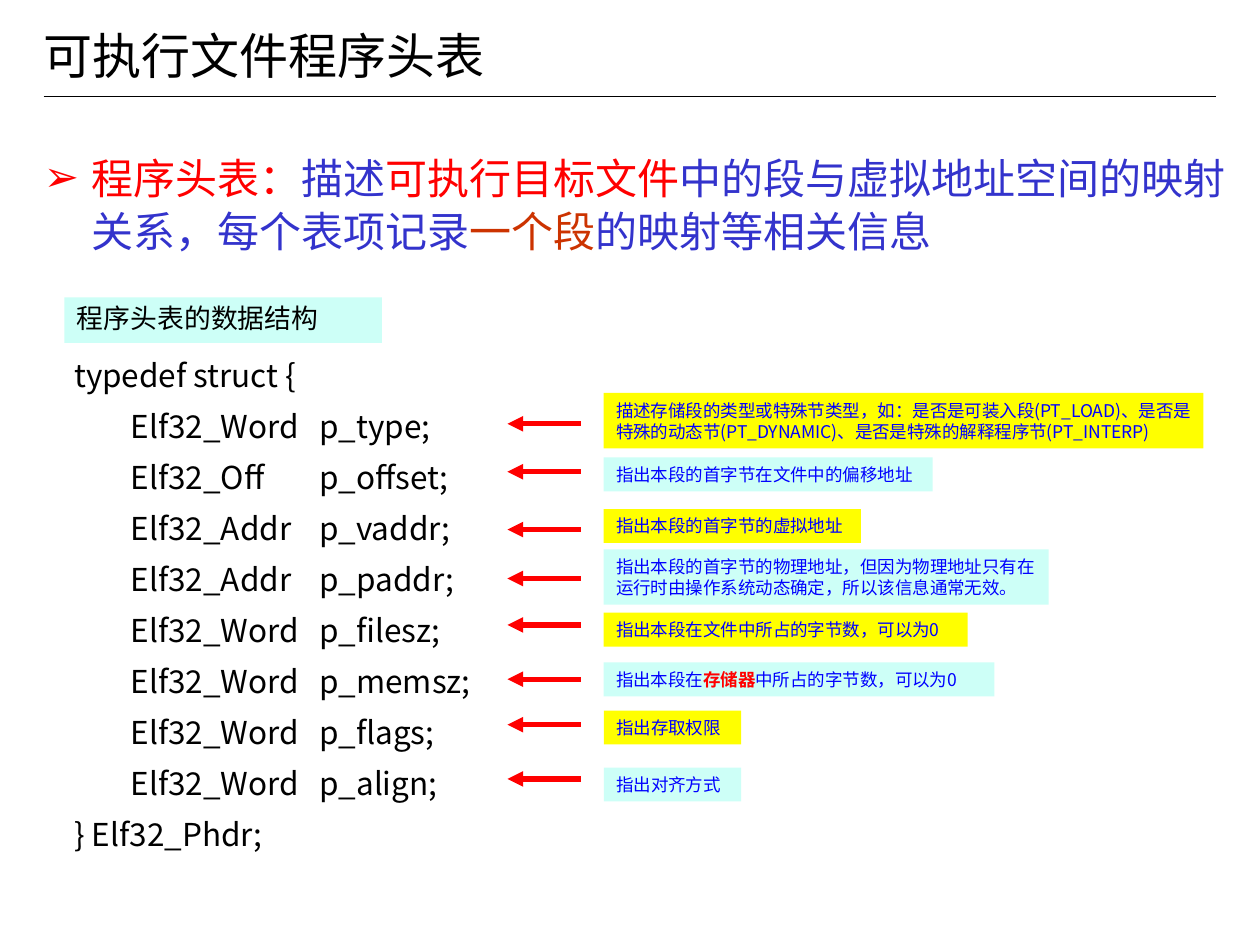
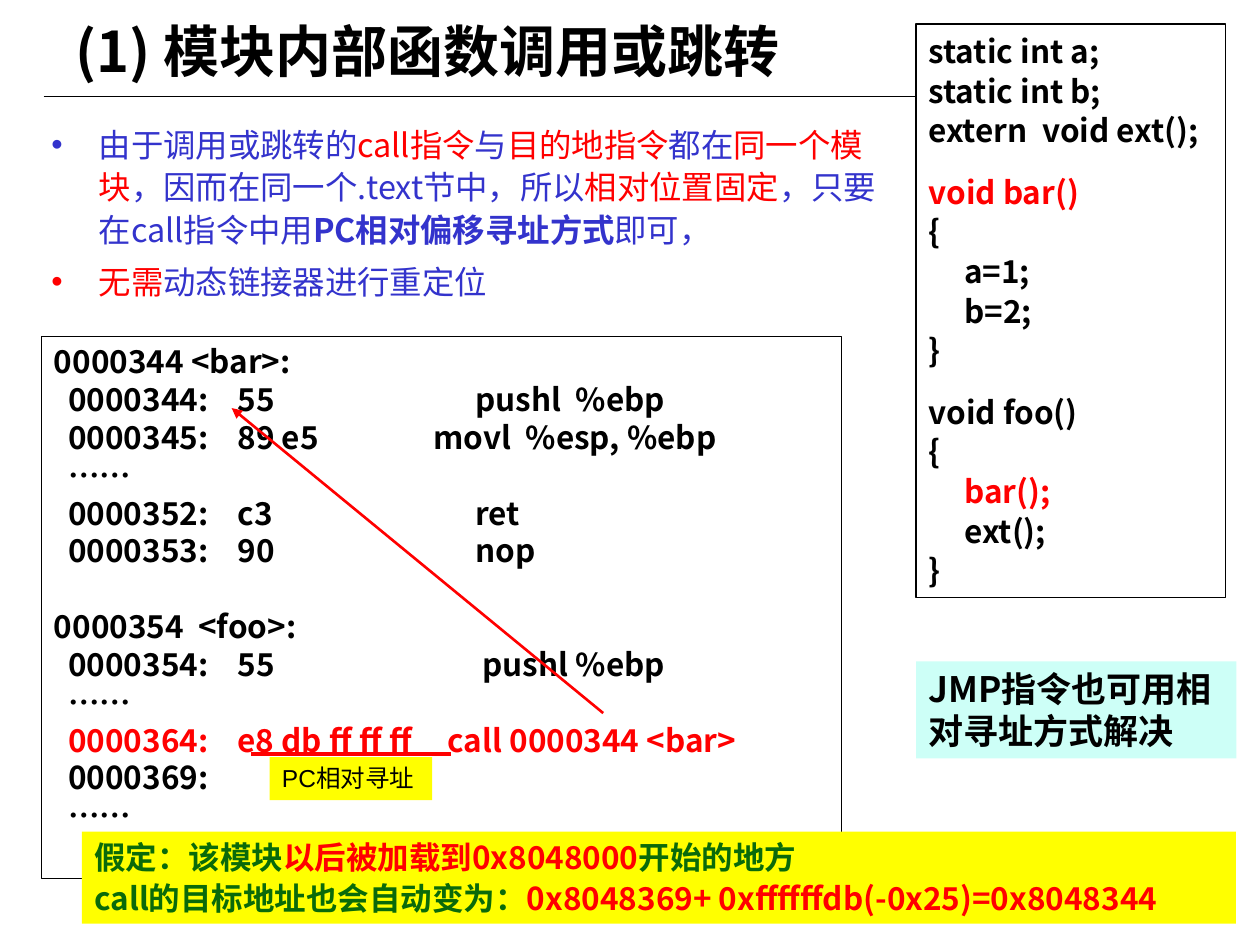
"""Build two slides about ELF program headers and calls inside a module."""
from dataclasses import dataclass

from lxml import etree
from pptx import Presentation
from pptx.dml.color import RGBColor
from pptx.enum.shapes import MSO_CONNECTOR, MSO_SHAPE
from pptx.enum.text import MSO_ANCHOR, PP_ALIGN
from pptx.oxml.ns import qn
from pptx.util import Pt

RECTANGLE = MSO_SHAPE.RECTANGLE
STRAIGHT = MSO_CONNECTOR.STRAIGHT
TOP, MIDDLE = MSO_ANCHOR.TOP, MSO_ANCHOR.MIDDLE
LEFT = PP_ALIGN.LEFT


@dataclass(frozen=True)
class Theme:
    """Colours, fonts and type sizes of the slides."""
    font: str = "Noto Sans CJK SC"
    label_font: str = "Arial"
    black: str = "000000"
    white: str = "FFFFFF"
    red: str = "FF0000"
    rust: str = "CC3300"
    indigo: str = "3333CC"
    blue: str = "0000FF"
    green: str = "0A6A0A"
    yellow: str = "FFFF00"
    mint: str = "CDFFF7"
    title: float = 28
    big_title: float = 32
    lead: float = 24
    remark: float = 20
    bullet: float = 18.5
    code: float = 18
    caption: float = 15.3
    label: float = 14
    note: float = 10


THEME = Theme()

LEAD = [
    ("程序头表：", THEME.red), "描述", ("可执行目标文件", THEME.red),
    "中的段与虚拟地址空间的映射关系，每个表项记录", ("一个段", THEME.rust),
    "的映射等相关信息",
]
STRUCT_LINES = [
    "typedef struct {",
    "        Elf32_Word\tp_type;",
    "        Elf32_Off\tp_offset;",
    "        Elf32_Addr\tp_vaddr;",
    "        Elf32_Addr\tp_paddr;",
    "        Elf32_Word\tp_filesz;",
    "        Elf32_Word\tp_memsz;",
    "        Elf32_Word\tp_flags;",
    "        Elf32_Word\tp_align;",
    "} Elf32_Phdr;",
]
# Each note: top, width, height, arrow level, text.
FIELD_NOTES = [
    (0, 342.7, 31.7, 17.6,
     "描述存储段的类型或特殊节类型，如：是否是可装入段(PT_LOAD)、是否是特殊的动态节"
     "(PT_DYNAMIC)、是否是特殊的解释程序节(PT_INTERP)"),
    (36.8, 188, 19.4, 45, "指出本段的首字节在文件中的偏移地址"),
    (66.3, 147, 19.4, 78, "指出本段的首字节的虚拟地址"),
    (89.3, 254.2, 31.7, 106, "指出本段的首字节的物理地址，但因为物理地址只有在运行时由操作系统动态确定，所以该信息通常无效。"),
    (125.5, 208, 19.4, 132.5, "指出本段在文件中所占的字节数，可以为0"),
    (154, 223.2, 19.4, 163.5,
     ["指出本段在", ("存储器", THEME.red, True), "中所占的字节数，可以为0"]),
    (181.5, 78.5, 19.4, 189.5, "指出存取权限"),
    (214, 78.5, 19.4, 220.5, "指出对齐方式"),
]
CALL_POINTS = [
    ["由于调用或跳转的", ("call指令", THEME.red), "与", ("目的地指令", THEME.red),
     "都在", ("同一个模块", THEME.red), "，因而在同一个.text节中，所以",
     ("相对位置固定", THEME.red), "，只要在call指令中用",
     ("PC相对偏移寻址方式", THEME.indigo, True), "即可，"],
    [("无需", THEME.red), "动态链接器进行重定位"],
]
SOURCE_LINES = [
    "static int a;", "static int b;", "extern  void ext();",
    [("void bar()", THEME.red)], "{", "     a=1;", "     b=2;", "}",
    "void foo()", "{", [("     bar();", THEME.red)], "     ext();", "}",
]
# Each line of assembly: text and the tab stop of its mnemonic.
ASSEMBLY = [
    ("0000344 <bar>:", 241),
    ("  0000344:\t55\tpushl  %ebp", 241),
    ("  0000345:\t89 e5\tmovl  %esp, %ebp", 217),
    ("  ……", 241),
    ("  0000352:\tc3\tret", 241),
    ("  0000353:\t90\tnop", 241),
    ("0000354  <foo>:", 241),
    ("  0000354:\t55\tpushl %ebp", 245),
    ("  ……", 241),
    ([("  0000364:\te8 db ff ff ff\tcall 0000344 <bar>", THEME.red)], 225),
    ("  0000369:", 241),
    ("  ……", 241),
]
ASSUMPTION = [
    ["假定：该模块", ("以后被加载到0x8048000", THEME.red), "开始的地方"],
    ["call的目标地址也会自动变为：",
     ("0x8048369+ 0xffffffdb(-0x25)=0x8048344", THEME.red)],
]


def rgb(color):
    """Turn a hex string into a colour."""
    return RGBColor.from_string(color)


def add_box(slide, box, fill=None, line=None):
    """Add a plain rectangle with an optional fill and outline."""
    shape = slide.shapes.add_shape(RECTANGLE, *map(Pt, box))
    shape.shadow.inherit = False
    if fill:
        shape.fill.solid()
        shape.fill.fore_color.rgb = rgb(fill)
    else:
        shape.fill.background()
    if line:
        shape.line.color.rgb = rgb(line)
        shape.line.width = Pt(0.75)
    else:
        shape.line.fill.background()
    return shape


def add_line(slide, start, end, color, width, arrow=False):
    """Add a straight line, with an arrowhead at its end if wanted."""
    line = slide.shapes.add_connector(STRAIGHT, *map(Pt, (*start, *end)))
    line.line.color.rgb = rgb(color)
    line.line.width = Pt(width)
    if arrow:
        etree.SubElement(line.line._get_or_add_ln(), qn("a:tailEnd"), type="triangle")
    etree.SubElement(line._element.spPr, qn("a:effectLst"))


def add_bullet(paragraph, character, color):
    """Give a paragraph a hanging bullet."""
    properties = paragraph._p.get_or_add_pPr()
    properties.set("marL", str(Pt(27)))
    properties.set("indent", str(-Pt(27)))
    bullet_color = etree.SubElement(properties, qn("a:buClr"))
    etree.SubElement(bullet_color, qn("a:srgbClr"), val=color)
    etree.SubElement(properties, qn("a:buFont"), typeface=THEME.label_font)
    etree.SubElement(properties, qn("a:buChar"), char=character)


def add_tabs(paragraph, stops):
    """Give a paragraph left tab stops."""
    tab_list = etree.SubElement(paragraph._p.get_or_add_pPr(), qn("a:tabLst"))
    for stop in stops:
        etree.SubElement(tab_list, qn("a:tab"), pos=str(Pt(stop)), algn="l")


def add_run(paragraph, text, size, color, bold, font):
    """Add one formatted run to a paragraph."""
    run = paragraph.add_run()
    run.text = text
    run.font.size = Pt(size)
    run.font.bold = bold
    run.font.color.rgb = rgb(color)
    run.font.name = font
    etree.SubElement(run._r.get_or_add_rPr(), qn("a:ea"), typeface=THEME.font)


def write_text(shape, paragraphs, size, color=THEME.black, bold=False, anchor=TOP,
               spacing=1.0, gaps=None, bullet=None, tabs=None, font=THEME.font, wrap=True):
    """Write paragraphs made of strings or of (text, colour, bold) segments."""
    frame = shape.text_frame
    frame.word_wrap = wrap
    frame.vertical_anchor = anchor
    frame.margin_left = frame.margin_right = Pt(7.2)
    frame.margin_top = frame.margin_bottom = Pt(3.6)
    for index, content in enumerate(paragraphs):
        paragraph = frame.add_paragraph() if index else frame.paragraphs[0]
        paragraph.alignment = LEFT
        paragraph.line_spacing = spacing
        paragraph.space_before = Pt((gaps or {}).get(index, 0))
        segments = [content] if isinstance(content, str) else content
        segments = [(part,) if isinstance(part, str) else part for part in segments]
        if bullet:
            first_color = segments[0][1] if len(segments[0]) > 1 else color
            add_bullet(paragraph, bullet, first_color)
        if tabs:
            add_tabs(paragraph, tabs[index])
        for segment in segments:
            text, run_color, run_bold = (*segment, *(color, bold)[len(segment) - 1:])
            add_run(paragraph, text, size, run_color, run_bold, font)


def add_title(slide, box, text, size, bold=False):
    """Add the title and the rule under it."""
    add_line(slide, (25, 55), (695, 55), THEME.black, 0.75)
    title = slide.shapes.add_textbox(*map(Pt, box))
    write_text(title, [text], size, bold=bold, anchor=MIDDLE)


def add_struct(slide, box):
    """Add the captioned program header structure."""
    left, top, width, height = box
    code = slide.shapes.add_textbox(*map(Pt, (left, top + 22.2, width, height - 22.2)))
    write_text(code, STRUCT_LINES, THEME.code, anchor=MIDDLE, spacing=1.35,
               tabs=[[140]] * len(STRUCT_LINES))
    caption = add_box(slide, (left + 1.5, top, 181.5, 26), THEME.mint)
    write_text(caption, ["程序头表的数据结构"], THEME.caption, anchor=MIDDLE, spacing=0.9)


def add_field_notes(slide, box):
    """Add a note with an arrow for each field of the structure."""
    left, top, width, height = box
    for index, (offset, note_width, note_height, level, text) in enumerate(FIELD_NOTES):
        fill = THEME.mint if index % 2 else THEME.yellow
        note = add_box(slide, (left + 55, top + offset, note_width, note_height), fill)
        write_text(note, [text], THEME.note, THEME.blue, anchor=MIDDLE)
        add_line(slide, (left + 42, top + level), (left, top + level),
                 THEME.red, 3, arrow=True)


def add_assembly(slide, box):
    """Add the disassembly with its marked call offset and jump arrow."""
    left, top, width, height = box
    listing = add_box(slide, box, line=THEME.black)
    write_text(listing, [text for text, stop in ASSEMBLY], THEME.code, bold=True,
               gaps={6: 21.7}, tabs=[(105, stop) for text, stop in ASSEMBLY])
    add_line(slide, (left + 119.5, top + 238.5), (left + 234, top + 238.5),
             THEME.red, 2.25)
    label = add_box(slide, (left + 130.3, top + 240.5, 93, 24.5), THEME.yellow)
    write_text(label, ["PC相对寻址"], THEME.label, font=THEME.label_font, wrap=False)
    add_line(slide, (left + 321, top + 215.3), (left + 108.7, top + 41),
             THEME.red, 1.5, arrow=True)


def build_header_table_slide(slide):
    """Fill the slide on the program header table."""
    add_title(slide, (18, 9.4, 648, 44), "可执行文件程序头表", THEME.title)
    lead = add_box(slide, (18, 82, 702, 67.7), THEME.white)
    write_text(lead, [LEAD], THEME.lead, THEME.indigo, anchor=MIDDLE, spacing=1.05,
               bullet="➢")
    add_struct(slide, (35.3, 170, 246.2, 321))
    add_field_notes(slide, (290, 224.6, 398, 234))


def build_call_slide(slide):
    """Fill the slide on calls and jumps inside a module."""
    add_title(slide, (36, 6.5, 648, 44), "(1) 模块内部函数调用或跳转", THEME.big_title, True)
    points = slide.shapes.add_textbox(*map(Pt, (22.3, 65.5, 493.2, 121.7)))
    write_text(points, CALL_POINTS, THEME.bullet, THEME.indigo, spacing=1.1,
               gaps={1: 5}, bullet="•")
    source = add_box(slide, (523.5, 13.7, 177, 327.6), THEME.white, THEME.black)
    write_text(source, SOURCE_LINES, THEME.code, bold=True, spacing=1.05,
               gaps={3: 12.3, 8: 12.3})
    add_assembly(slide, (23.7, 192.2, 457.2, 310))
    banner = add_box(slide, (46.8, 475.2, 659.5, 52.6), THEME.yellow)
    write_text(banner, ASSUMPTION, THEME.code, THEME.green, True, gaps={1: 2.2})
    remark = add_box(slide, (523.5, 378, 183, 55.4), THEME.mint)
    write_text(remark, ["JMP指令也可用相对寻址方式解决"], THEME.remark, bold=True)


def main():
    """Build the presentation and save it."""
    presentation = Presentation()
    presentation.slide_width, presentation.slide_height = Pt(720), Pt(540)
    blank = presentation.slide_layouts[6]
    for build in (build_header_table_slide, build_call_slide):
        build(presentation.slides.add_slide(blank))
    presentation.save("out.pptx")


if __name__ == "__main__":
    main()
